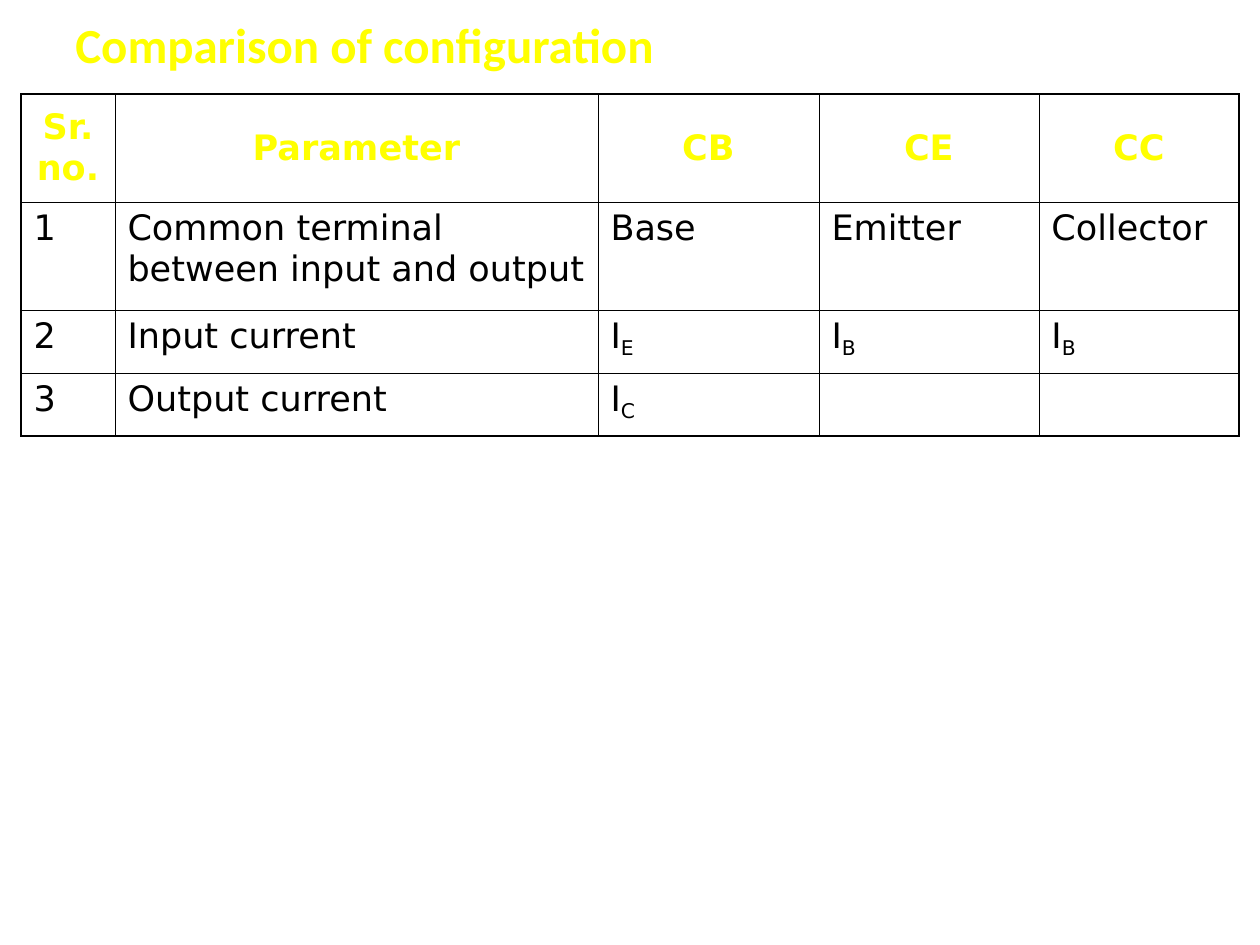
"""Build a slide with a table that compares transistor configurations."""
from lxml.etree import fromstring
from pptx import Presentation
from pptx.dml.color import RGBColor
from pptx.enum.text import MSO_ANCHOR, PP_ALIGN
from pptx.oxml.ns import nsdecls
from pptx.util import Pt

YELLOW = RGBColor(0xFF, 0xFF, 0x00)
BLACK = RGBColor(0x00, 0x00, 0x00)
SCALE = 914400 / 126
SLIDE_SIZE = (1260, 945)

TITLE = "Comparison of configuration"
TITLE_PLACE = (63, 10, 1134, 67)
TITLE_FORMAT = {"size": Pt(28), "name": "Calibri", "bold": True}

ROWS = [
    ["Sr.no.", "Parameter", "CB", "CE", "CC"],
    ["1", "Common terminal between input and output", "Base", "Emitter", "Collector"],
    ["2", "Input current", ("I", "E"), ("I", "B"), ("I", "B")],
    ["3", "Output current", ("I", "C"), "", ""],
]
TABLE_CORNER = (21, 94)
COLUMN_WIDTHS = [94, 483, 221, 220, 200]
ROW_HEIGHTS = [108, 108, 63, 63]
HEADER_FORMAT = {"size": Pt(20), "name": "DejaVu Sans", "bold": True}
BODY_FORMAT = {"size": Pt(20), "name": "DejaVu Sans", "bold": False}
OUTER_LINE, INNER_LINE = Pt(1.08), Pt(0.45)


def px(length):
    return round(length * SCALE)


def add_span(para, text, formats, color, subscript=False):
    span = para.add_run()
    span.text = text
    for name, value in formats.items():
        setattr(span.font, name, value)
    span.font.color.rgb = color
    if subscript:
        span._r.get_or_add_rPr().set("baseline", "-18000")


def set_borders(cell, outer_sides):
    properties = cell._tc.get_or_add_tcPr()
    for index, side in enumerate("LRTB"):
        width = OUTER_LINE if side in outer_sides else INNER_LINE
        properties.insert(index, fromstring(
            f'<a:ln{side} {nsdecls("a")} w="{width}"><a:solidFill>'
            f'<a:srgbClr val="{BLACK}"/></a:solidFill></a:ln{side}>'))


def add_title(page):
    box = page.shapes.add_textbox(*map(px, TITLE_PLACE))
    box.text_frame.word_wrap = True
    box.text_frame.vertical_anchor = MSO_ANCHOR.MIDDLE
    add_span(box.text_frame.paragraphs[0], TITLE, TITLE_FORMAT, YELLOW)


def fill_cell(cell, content, is_header):
    cell.fill.background()
    cell.vertical_anchor = MSO_ANCHOR.MIDDLE if is_header else MSO_ANCHOR.TOP
    para = cell.text_frame.paragraphs[0]
    para.alignment = PP_ALIGN.CENTER if is_header else PP_ALIGN.LEFT
    formats, color = (HEADER_FORMAT, YELLOW) if is_header else (BODY_FORMAT, BLACK)
    parts = content if isinstance(content, tuple) else (content,)
    for position, text in enumerate(parts):
        if text:
            add_span(para, text, formats, color, subscript=position > 0)


def add_comparison(page):
    size = (sum(COLUMN_WIDTHS), sum(ROW_HEIGHTS))
    table = page.shapes.add_table(
        len(ROWS), len(COLUMN_WIDTHS), *map(px, TABLE_CORNER + size)).table
    table.first_row = table.horz_banding = False
    for column, width in zip(table.columns, COLUMN_WIDTHS):
        column.width = px(width)
    for row, height in zip(table.rows, ROW_HEIGHTS):
        row.height = px(height)
    last_row, last_column = len(ROWS) - 1, len(COLUMN_WIDTHS) - 1
    for r, contents in enumerate(ROWS):
        for c, content in enumerate(contents):
            cell = table.cell(r, c)
            fill_cell(cell, content, r == 0)
            edges = {"L": c == 0, "R": c == last_column, "T": r == 0, "B": r == last_row}
            set_borders(cell, [side for side, outer in edges.items() if outer])


def main():
    deck = Presentation()
    deck.slide_width, deck.slide_height = map(px, SLIDE_SIZE)
    page = deck.slides.add_slide(deck.slide_layouts[6])
    add_title(page)
    add_comparison(page)
    deck.save("out.pptx")


if __name__ == "__main__":
    main()
